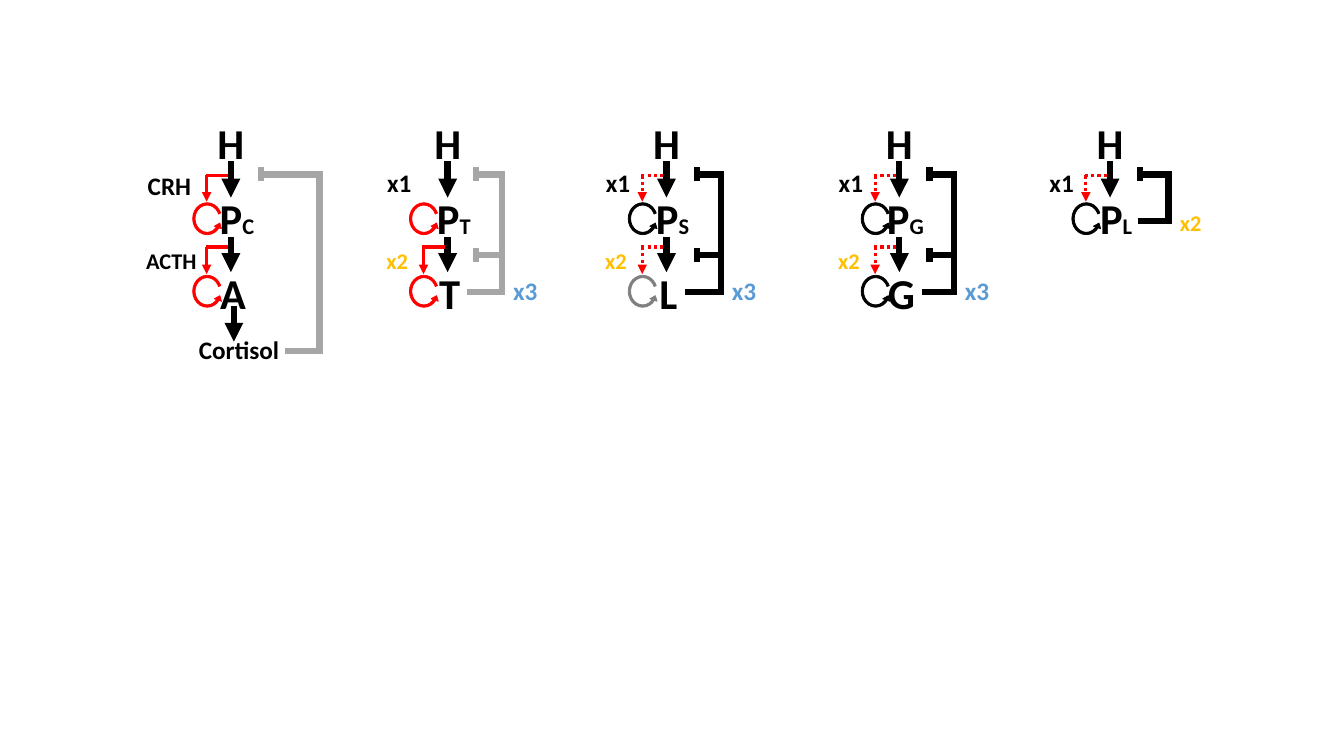
from dataclasses import dataclass

from pptx import Presentation
from pptx.dml.color import RGBColor
from pptx.enum.dml import MSO_LINE
from pptx.enum.shapes import MSO_CONNECTOR, MSO_SHAPE
from pptx.enum.text import MSO_AUTO_SIZE, PP_ALIGN
from pptx.oxml.ns import qn
from pptx.util import Inches, Pt
from lxml.etree import SubElement

BLACK, RED, YELLOW, BLUE = "000000", "FF0000", "FFC000", "5B9BD5"
LIGHT_GRAY, MID_GRAY = "A6A6A6", "808080"
HEIGHTS = {30.4: 0.57, 18: 0.36, 16: 0.33}


def rgb(value):
    return RGBColor.from_string(value)


@dataclass
class Diagram:
    slide: object
    font: str = "Calibri"
    thick: float = 4.5
    thin: float = 2.25

    def label(self, text, cx, top, width, size, color=BLACK, subscript=""):
        """Place bold text centred on cx, with an optional smaller suffix."""
        tb = self.slide.shapes.add_textbox(Inches(cx - width / 2), Inches(top),
                                           Inches(width), Inches(HEIGHTS[size]))
        tf = tb.text_frame
        tf.word_wrap = False
        tf.auto_size = MSO_AUTO_SIZE.SHAPE_TO_FIT_TEXT
        tf.margin_left = tf.margin_right = Inches(0.04)
        tf.margin_top = tf.margin_bottom = Inches(0.03)
        p = tf.paragraphs[0]
        p.text = text
        p.alignment = PP_ALIGN.CENTER
        if subscript:
            p.add_run().text = subscript
        for r, pt in zip(p.runs, (size, 16)):
            r.font.name, r.font.size, r.font.bold = self.font, Pt(pt), True
            r.font.color.rgb = rgb(color)

    def line(self, x1, y1, x2, y2, color=BLACK, width=None, dotted=False, arrow=False):
        c = self.slide.shapes.add_connector(MSO_CONNECTOR.STRAIGHT, Inches(x1),
                                            Inches(y1), Inches(x2), Inches(y2))
        c.line.color.rgb = rgb(color)
        c.line.width = Pt(width or self.thick)
        if dotted:
            c.line.dash_style = MSO_LINE.ROUND_DOT
        sp_pr = c._element.spPr
        if arrow:
            SubElement(sp_pr.find(qn("a:ln")), qn("a:tailEnd"), type="triangle")
        SubElement(sp_pr, qn("a:effectLst"))

    def loop(self, x, top, color):
        """Draw the self-stimulation arrow left of the axis at x."""
        sp = self.slide.shapes.add_shape(MSO_SHAPE.CIRCULAR_ARROW, Inches(x - 0.42),
                                         Inches(top), Inches(0.37), Inches(0.34))
        for i, value in enumerate((0.071, 12.212, 30.443, 67.552, 0.112)):
            sp.adjustments[i] = value
        sp.rotation = 270
        sp._element.spPr.find(qn("a:xfrm")).set("flipH", "1")
        sp.shadow.inherit = False
        sp.fill.solid()
        sp.fill.fore_color.rgb = sp.line.color.rgb = rgb(color)
        sp.line.width = Pt(0.5)

    def branch(self, x, top, bottom, dotted):
        """Draw the red elbow from the axis down to a loop."""
        self.line(x - 0.25, top, x - 0.03, top, RED, self.thin, dotted)
        self.line(x - 0.24, top, x - 0.24, bottom, RED, self.thin, dotted, arrow=True)

    def feedback(self, start, spine, bottom, bar, stops, color):
        """Draw the inhibition bracket, with one blunt end per stop."""
        self.line(start, bottom, spine + 0.02, bottom, color)
        self.line(spine, 1.7, spine, bottom + 0.03, color)
        for y in stops:
            self.line(bar, y - 0.07, bar, y + 0.07, color)
            self.line(bar, y, spine + 0.02, y, color)


@dataclass
class Axis:
    x: float
    pituitary: str
    pituitary_width: float
    loops: tuple
    start: float
    spine: float
    bottom: float
    feedback_color: str
    stops: tuple
    labels: tuple
    gland: str = ""
    gland_width: float = 0
    branches: tuple = (0, 1)
    dotted: bool = True
    bar: float = 0.3


X1 = ("x1", -0.48, 1.63, 0.36, 18, BLACK)
X2 = ("x2", -0.5, 2.42, 0.33, 16, YELLOW)
X3 = ("x3", 0.77, 2.7, 0.36, 18, BLUE)
BOTH = (1.73, 2.53)
BRANCHES = ((1.74, 2), (2.45, 2.72))
AXES = (
    Axis(2.29, "C", 0.46, (RED, RED), 0.54, 0.88, 3.48, LIGHT_GRAY, (1.73,),
         (("CRH", -0.61, 1.66, 0.55, 18, BLACK),
          ("ACTH", -0.59, 2.42, 0.62, 16, BLACK),
          ("Cortisol", 0.08, 3.29, 0.92, 18, BLACK)),
         "A", 0.37, dotted=False),
    Axis(4.44, "T", 0.45, (RED, RED), 0.19, 0.54, 2.9, LIGHT_GRAY, BOTH,
         (X1, X2, X3), "T", 0.32, branches=(1,), dotted=False, bar=0.28),
    Axis(6.61, "S", 0.45, (BLACK, MID_GRAY), 0.18, 0.54, 2.9, BLACK, BOTH,
         (X1, X2, X3), "L", 0.29),
    Axis(8.92, "G", 0.48, (BLACK, BLACK), 0.22, 0.54, 2.9, BLACK, BOTH,
         (X1, X2, X3), "G", 0.39),
    Axis(11.01, "L", 0.43, (BLACK,), 0.28, 0.58, 2.19, BLACK, (1.73,),
         (X1, ("x2", 0.8, 2.05, 0.33, 16, YELLOW)), branches=(0,)),
)


def draw_axis(d, a):
    d.label("H", a.x, 1.13, 0.38, 30.4)
    d.label("P", a.x + 0.06, 1.87, a.pituitary_width, 30.4, subscript=a.pituitary)
    d.line(a.x, 1.6, a.x, 1.96, arrow=True)
    if a.gland:
        d.label(a.gland, a.x + 0.02, 2.62, a.gland_width, 30.4)
        d.line(a.x, 2.35, a.x, 2.7, arrow=True)
    d.feedback(a.x + a.start, a.x + a.spine, a.bottom, a.x + a.bar, a.stops,
               a.feedback_color)
    for top, color in zip((2, 2.72), a.loops):
        d.loop(a.x, top, color)
    for i in a.branches:
        d.branch(a.x, *BRANCHES[i], a.dotted)
    for text, dx, top, width, size, color in a.labels:
        d.label(text, a.x + dx, top, width, size, color)


def main():
    prs = Presentation()
    prs.slide_width, prs.slide_height = Inches(13.33), Inches(7.5)
    s = prs.slides.add_slide(prs.slide_layouts[6])
    d = Diagram(s)
    for axis in AXES:
        draw_axis(d, axis)
    d.line(2.32, 3.04, 2.32, 3.39, arrow=True)
    prs.save("out.pptx")


if __name__ == "__main__":
    main()
